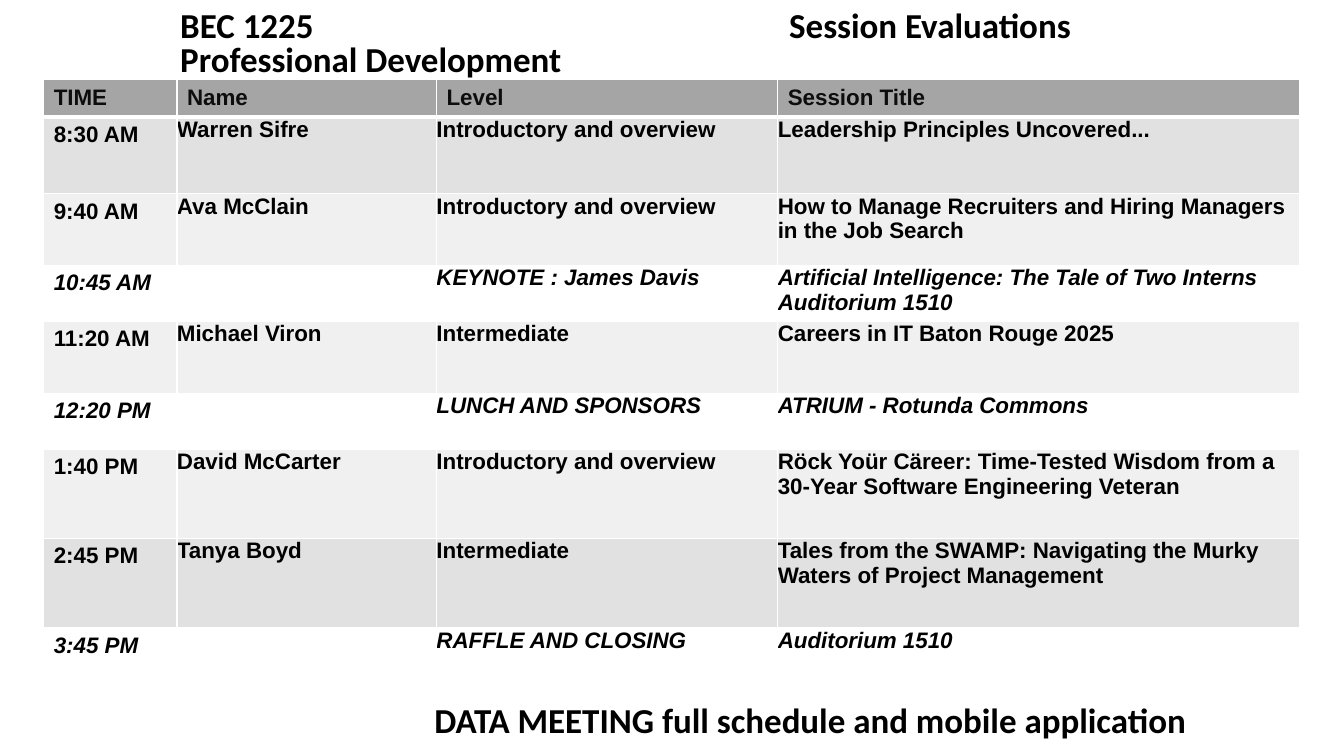
from lxml import etree
from pptx import Presentation
from pptx.dml.color import RGBColor
from pptx.oxml.ns import qn
from pptx.util import Pt

BLACK = RGBColor(0, 0, 0)
INK = RGBColor(0x0D, 0x0D, 0x0D)
WHITE = RGBColor(255, 255, 255)
HEAD = RGBColor(0xA5, 0xA5, 0xA5)
DARK = RGBColor(0xE1, 0xE1, 0xE1)
LIGHT = RGBColor(0xF0, 0xF0, 0xF0)

TITLES = [
    ("DATA MEETING full schedule and mobile application", 303.2, 499, 574.6, 39),
    ("BEC 1225", 121.7, 2.2, 435, 30),
    ("Session Evaluations", 556.6, 2.2, 273, 39.6),
    ("Professional Development", 121.7, 26.6, 435, 30),
]
WIDTHS = [95.2, 185.4, 243.8, 373]
INTRO = "Introductory and overview"
ROWS = [
    (26.6, HEAD, "TIME", "Name", "Level", "Session Title"),
    (54.9, DARK, "8:30 AM", "Warren Sifre", INTRO, "Leadership Principles Uncovered..."),
    (51.2, LIGHT, "9:40 AM", "Ava McClain", INTRO,
     "How to Manage Recruiters and Hiring Managers in the Job Search"),
    (39.8, WHITE, "10:45 AM", "", "KEYNOTE : James Davis",
     "Artificial Intelligence: The Tale of Two Interns\nAuditorium 1510"),
    (51.5, LIGHT, "11:20 AM", "Michael Viron", "Intermediate", "Careers in IT Baton Rouge 2025"),
    (39.8, WHITE, "12:20 PM", "", "LUNCH AND SPONSORS", "ATRIUM - Rotunda Commons"),
    (63.9, LIGHT, "1:40 PM", "David McCarter", INTRO,
     "Röck Yoür Cäreer: Time-Tested Wisdom from a 30-Year Software Engineering Veteran"),
    (63.9, DARK, "2:45 PM", "Tanya Boyd", "Intermediate",
     "Tales from the SWAMP: Navigating the Murky Waters of Project Management"),
    (34, WHITE, "3:45 PM", "", "RAFFLE AND CLOSING", "Auditorium 1510"),
]


def style(para, name, size, color, slant=False):
    """Format every run of a paragraph in bold."""
    for run in para.runs:
        font = run.font
        font.name, font.size, font.bold, font.italic = name, Pt(size), True, slant
        font.color.rgb = color


def add_title(slide, text, left, top, width, height):
    """Add one bold heading line."""
    box = slide.shapes.add_textbox(Pt(left), Pt(top), Pt(width), Pt(height))
    box.text_frame.word_wrap = True
    box.text_frame.text = text
    para = box.text_frame.paragraphs[0]
    para.line_spacing = 0.9
    style(para, "Calibri", 25, BLACK)


def add_edges(cell, top, bottom):
    """Draw the white borders of a cell."""
    props = cell._tc.get_or_add_tcPr()
    edges = [("L", 1), ("R", 1), ("T", top), ("B", bottom)]
    for place, (side, width) in enumerate(edges):
        line = etree.Element(qn(f"a:ln{side}"), w=str(Pt(width)))
        fill = etree.SubElement(line, qn("a:solidFill"))
        etree.SubElement(fill, qn("a:srgbClr"), val=str(WHITE))
        props.insert(place, line)


def fill_cell(cell, text, color, row, col):
    """Set the text, fill, margins and borders of a cell."""
    cell.fill.solid()
    cell.fill.fore_color.rgb = color
    if row and col:
        cell.margin_left = cell.margin_right = Pt(0)
        cell.margin_top = cell.margin_bottom = Pt(0)
    cell.text_frame.text = text
    for para in cell.text_frame.paragraphs:
        style(para, "Arial", 16, BLACK if row else INK, color == WHITE)
    add_edges(cell, 3 if row == 1 else 1, 1 if row else 3)


def add_agenda(slide):
    """Add the session table."""
    height = sum(row[0] for row in ROWS)
    frame = slide.shapes.add_table(len(ROWS), len(WIDTHS), Pt(31.2), Pt(57),
                                   Pt(sum(WIDTHS)), Pt(height))
    table = frame.table
    for col, width in enumerate(WIDTHS):
        table.columns[col].width = Pt(width)
    for row, (height, color, *texts) in enumerate(ROWS):
        table.rows[row].height = Pt(height)
        for col, text in enumerate(texts):
            fill_cell(table.cell(row, col), text, color, row, col)


def main():
    """Build and save the slide."""
    deck = Presentation()
    deck.slide_width, deck.slide_height = Pt(960), Pt(540)
    slide = deck.slides.add_slide(deck.slide_layouts[6])
    add_agenda(slide)
    for title in TITLES:
        add_title(slide, *title)
    deck.save("out.pptx")


if __name__ == "__main__":
    main()
